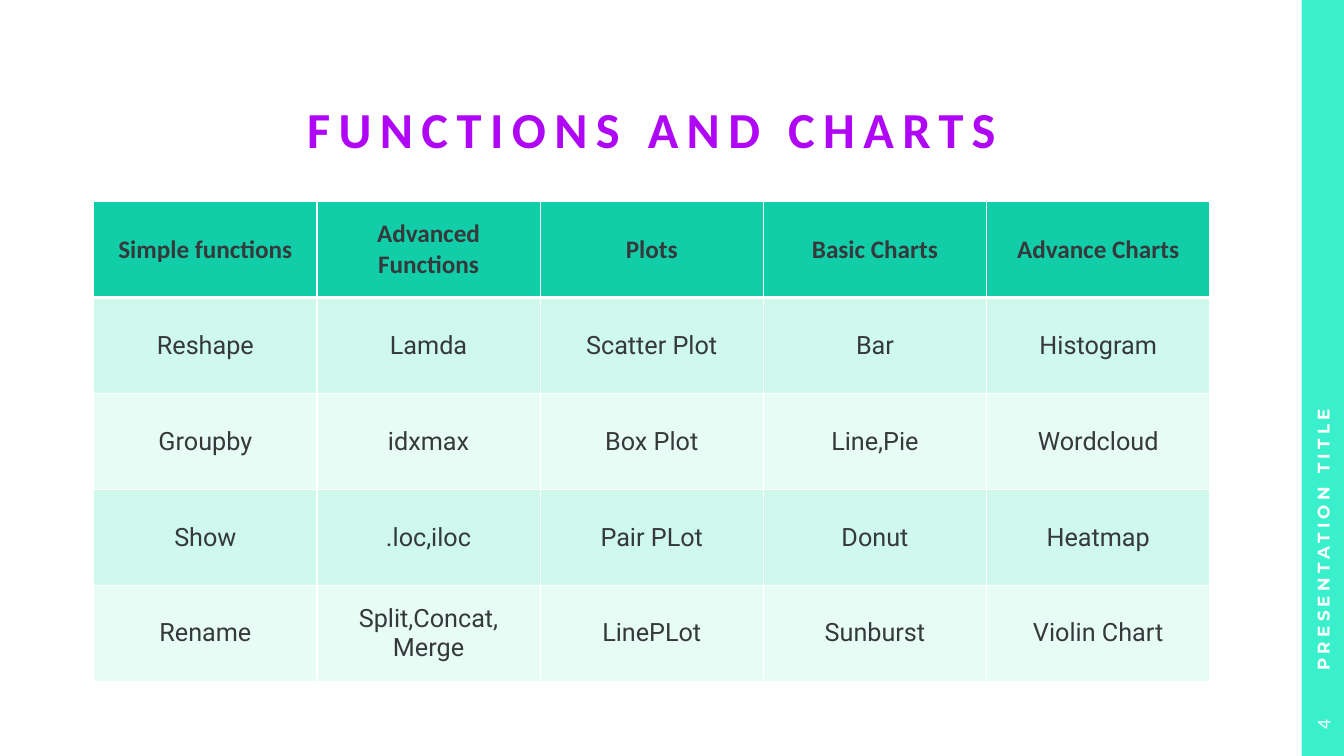
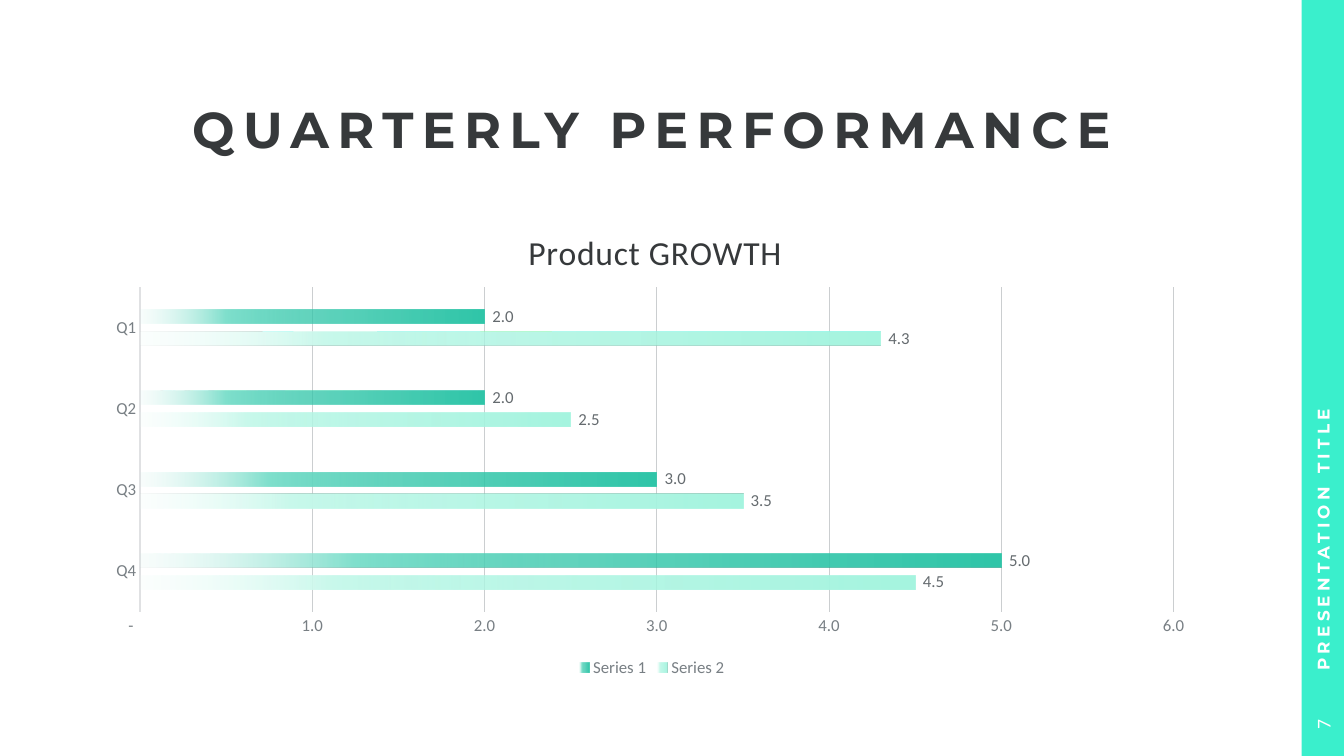
"""Build a table slide and a bar chart slide that share a title style and side band."""
from dataclasses import dataclass

from lxml.etree import SubElement
from pptx import Presentation
from pptx.chart.data import CategoryChartData
from pptx.dml.color import RGBColor
from pptx.enum.chart import XL_CHART_TYPE, XL_LABEL_POSITION, XL_LEGEND_POSITION, XL_TICK_MARK
from pptx.enum.shapes import MSO_SHAPE
from pptx.enum.text import MSO_ANCHOR, PP_ALIGN
from pptx.oxml import parse_xml
from pptx.oxml.ns import nsdecls, qn
from pptx.util import Inches, Pt

WHITE = RGBColor(0xFF, 0xFF, 0xFF)
INK = RGBColor(0x36, 0x39, 0x3B)
PURPLE = RGBColor(0xAF, 0x06, 0xF6)
BAND = RGBColor(0x3A, 0xEF, 0xCC)
HEADER = RGBColor(0x11, 0xCE, 0xA9)
ROW_DARK = RGBColor(0xCE, 0xF9, 0xEC)
ROW_LIGHT = RGBColor(0xE8, 0xFC, 0xF6)
AXIS_TEXT = RGBColor(0x78, 0x7F, 0x84)
LABEL_TEXT = RGBColor(0x65, 0x6B, 0x6F)
AXIS_LINE = RGBColor(0xE0, 0xE1, 0xE3)
GRID_LINE = RGBColor(0xCB, 0xCE, 0xD0)

HEAD_FONT, BODY_FONT, PLAIN_FONT = "Montserrat", "Roboto", "Calibri"
NUMBER_FORMAT = '_(* #,##0.0_);_(* \\(#,##0.0\\);_(* "-"??_);_(@_)'
LEFT, TOP, WIDTH, HEIGHT = 0.93, 2, 11.07, 4.76
BAND_WIDTH = 0.42

ROWS = (
    ("Simple functions", "Advanced Functions", "Plots", "Basic Charts", "Advance Charts"),
    ("Reshape", "Lamda", "Scatter Plot", "Bar", "Histogram"),
    ("Groupby", "idxmax", "Box Plot", "Line,Pie", "Wordcloud"),
    ("Show", ".loc,iloc", "Pair PLot", "Donut", "Heatmap"),
    ("Rename", "Split,Concat,\nMerge", "LinePLot", "Sunburst", "Violin Chart"),
)


@dataclass(frozen=True)
class Box:
    """Position and size in inches."""
    x: float
    y: float
    w: float
    h: float

    def emu(self):
        """Return the four lengths for a shape call."""
        return Inches(self.x), Inches(self.y), Inches(self.w), Inches(self.h)


@dataclass(frozen=True)
class BarSeries:
    """A chart series with gradient stops of position, colour and opacity."""
    name: str
    values: tuple
    stops: tuple


CATEGORIES = ("Q4", "Q3", "Q2", "Q1")
SERIES = (
    BarSeries("Series 2", (4.5, 3.5, 2.5, 4.3),
              ((0, "A6F5E0", 100), (51, "A6F5E0", 75), (75, "C9F9EC", 100), (100, "EDFDF9", 15))),
    BarSeries("Series 1", (5, 3, 2, 2),
              ((0, "30C6A9", 100), (51, "30C6A9", 75), (75, "80E0CD", 100), (100, "D5F5EE", 15))),
)


def set_font(font, size: float, color: RGBColor, name: str = PLAIN_FONT, bold: bool = False) -> None:
    """Apply size, colour, typeface and weight."""
    font.size, font.name, font.bold = Pt(size), name, bold
    font.color.rgb = color


def write_text(tf, text: str, *, size: float, color: RGBColor = INK, name: str = PLAIN_FONT,
               bold: bool = False, spacing: float = 0, align=PP_ALIGN.CENTER,
               line_spacing: float = 1.0) -> None:
    """Write one formatted paragraph."""
    p = tf.paragraphs[0]
    p.text = text
    p.alignment, p.line_spacing = align, line_spacing
    for r in p.runs:
        set_font(r.font, size, color, name, bold)
        r.font._element.set("spc", str(round(spacing * 100)))


def add_text(s, box: Box, text: str, margins=(0.1, 0.05, 0.1, 0.05), rotation: float = 0, **fmt) -> None:
    """Add a vertically centred text box."""
    sp = s.shapes.add_textbox(*box.emu())
    sp.rotation = rotation
    tf = sp.text_frame
    tf.word_wrap, tf.vertical_anchor = True, MSO_ANCHOR.MIDDLE
    tf.margin_left, tf.margin_top, tf.margin_right, tf.margin_bottom = map(Inches, margins)
    write_text(tf, text, **fmt)


def add_base(prs, title: str, number: str, **title_fmt):
    """Add a slide with its band, title, footer and number."""
    s = prs.slides.add_slide(prs.slide_layouts[6])
    band = s.shapes.add_shape(MSO_SHAPE.RECTANGLE, *Box(13.33 - BAND_WIDTH, 0, BAND_WIDTH, 7.5).emu())
    band.shadow.inherit = False
    band.fill.solid()
    band.fill.fore_color.rgb = BAND
    band.line.fill.background()
    add_text(s, Box(LEFT, 0.96, WIDTH, 0.71), title, margins=(0, 0, 0, 0), size=36, bold=True,
             spacing=6, line_spacing=0.9, **title_fmt)
    add_text(s, Box(9.68, 3.23, 6.88, BAND_WIDTH), "PRESENTATION TITLE", margins=(0.23, 0.05, 0.1, 0.05),
             rotation=270, size=12, color=WHITE, name=HEAD_FONT, bold=True, spacing=3, align=PP_ALIGN.LEFT)
    add_text(s, Box(12.81, 6.98, 0.62, BAND_WIDTH), number, rotation=270, size=14, color=WHITE)
    return s


def set_borders(cell, **widths: float) -> None:
    """Draw white cell borders with the given widths in points."""
    tc_pr = cell._tc.get_or_add_tcPr()
    for i, (side, width) in enumerate(widths.items()):
        tc_pr.insert(i, parse_xml(
            f'<a:{side} {nsdecls("a")} w="{Pt(width)}"><a:solidFill>'
            f'<a:srgbClr val="{WHITE}"/></a:solidFill></a:{side}>'))


def add_functions_table(s) -> None:
    """Add the table of functions and charts."""
    table = s.shapes.add_table(len(ROWS), len(ROWS[0]), *Box(LEFT, TOP, WIDTH, HEIGHT).emu()).table
    for i, row in enumerate(ROWS):
        header = i == 0
        fill = HEADER if header else (ROW_DARK if i % 2 else ROW_LIGHT)
        for j, text in enumerate(row):
            cell = table.cell(i, j)
            cell.vertical_anchor = MSO_ANCHOR.MIDDLE
            cell.fill.solid()
            cell.fill.fore_color.rgb = fill
            write_text(cell.text_frame, text, size=18, bold=header,
                       name=PLAIN_FONT if header else BODY_FONT)
            set_borders(cell, lnL=1, lnR=1, lnT=3 if i == 1 else 1, lnB=3 if header else 1)


def place(parent, index: int, inner: bool = False, **lengths: float) -> None:
    """Give a chart part a manual layout from lengths in inches."""
    for old in parent.findall(qn("c:layout")):
        parent.remove(old)
    layout = parse_xml(f'<c:layout {nsdecls("c")}><c:manualLayout/></c:layout>')
    manual = layout[0]
    if inner:
        SubElement(manual, qn("c:layoutTarget"), val="inner")
    for mode in ("xMode", "yMode"):
        SubElement(manual, qn(f"c:{mode}"), val="edge")
    for key, value in lengths.items():
        SubElement(manual, qn(f"c:{key}"), val=str(value / (WIDTH if key in "xw" else HEIGHT)))
    parent.insert(index, layout)


def style_series(series, bars: BarSeries) -> None:
    """Fill the bars with a fading gradient and label their ends."""
    fill = series.format.fill
    fill.gradient()
    fill.gradient_angle = 180
    stop_list = series._element.xpath("c:spPr/a:gradFill/a:gsLst")[0]
    for old in list(stop_list):
        stop_list.remove(old)
    for position, color, opacity in bars.stops:
        stop = SubElement(stop_list, qn("a:gs"), pos=str(position * 1000))
        rgb = SubElement(stop, qn("a:srgbClr"), val=color)
        if opacity < 100:
            SubElement(rgb, qn("a:alpha"), val=str(opacity * 1000))
    labels = series.data_labels
    labels.show_value = True
    labels.position = XL_LABEL_POSITION.OUTSIDE_END
    labels.number_format, labels.number_format_is_linked = NUMBER_FORMAT, False
    set_font(labels.font, 12, LABEL_TEXT)


def style_axes(chart) -> None:
    """Style the category and value axes."""
    cat, val = chart.category_axis, chart.value_axis
    for axis in (cat, val):
        axis.major_tick_mark = axis.minor_tick_mark = XL_TICK_MARK.NONE
        set_font(axis.tick_labels.font, 12, AXIS_TEXT)
    cat.has_major_gridlines, val.has_major_gridlines = False, True
    grid = val.major_gridlines.format.line
    for line, color, width in ((cat.format.line, AXIS_LINE, 1.5), (grid, GRID_LINE, 0.75)):
        line.color.rgb, line.width = color, Pt(width)
    val.format.line.fill.background()
    val.minimum_scale, val.maximum_scale, val.major_unit = 0, 6, 1
    val.tick_labels.number_format = NUMBER_FORMAT
    val.tick_labels.number_format_is_linked = False


def add_growth_chart(s) -> None:
    """Add the clustered bar chart of quarterly growth."""
    data = CategoryChartData()
    data.categories = CATEGORIES
    for bars in SERIES:
        data.add_series(bars.name, bars.values)
    chart = s.shapes.add_chart(XL_CHART_TYPE.BAR_CLUSTERED, *Box(LEFT, TOP, WIDTH, HEIGHT).emu(), data).chart
    set_font(chart.font, 10, INK)
    chart.has_title = True
    write_text(chart.chart_title.text_frame, "Product GROWTH", size=24, spacing=0.5)
    place(chart.chart_title._element, 1, x=4.25, y=0.22)
    chart.has_legend = True
    chart.legend.position = XL_LEGEND_POSITION.BOTTOM
    chart.legend.include_in_layout = False
    set_font(chart.legend.font, 12, AXIS_TEXT)
    plot = chart.plots[0]
    plot.vary_by_categories = False
    plot.gap_width, plot.overlap = 326, -58
    for series, bars in zip(plot.series, SERIES):
        style_series(series, bars)
    style_axes(chart)
    place(chart._chartSpace.xpath("c:chart/c:plotArea")[0], 0, inner=True, x=0.46, y=0.85, w=10.25, h=3.22)


def main() -> None:
    """Build and save the presentation."""
    prs = Presentation()
    prs.slide_width, prs.slide_height = Inches(13.33), Inches(7.5)
    add_functions_table(add_base(prs, "FUNCTIONS AND CHARTS", "4", color=PURPLE))
    add_growth_chart(add_base(prs, "QUARTERLY PERFORMANCE", "7", name=HEAD_FONT))
    prs.save("out.pptx")


if __name__ == "__main__":
    main()
